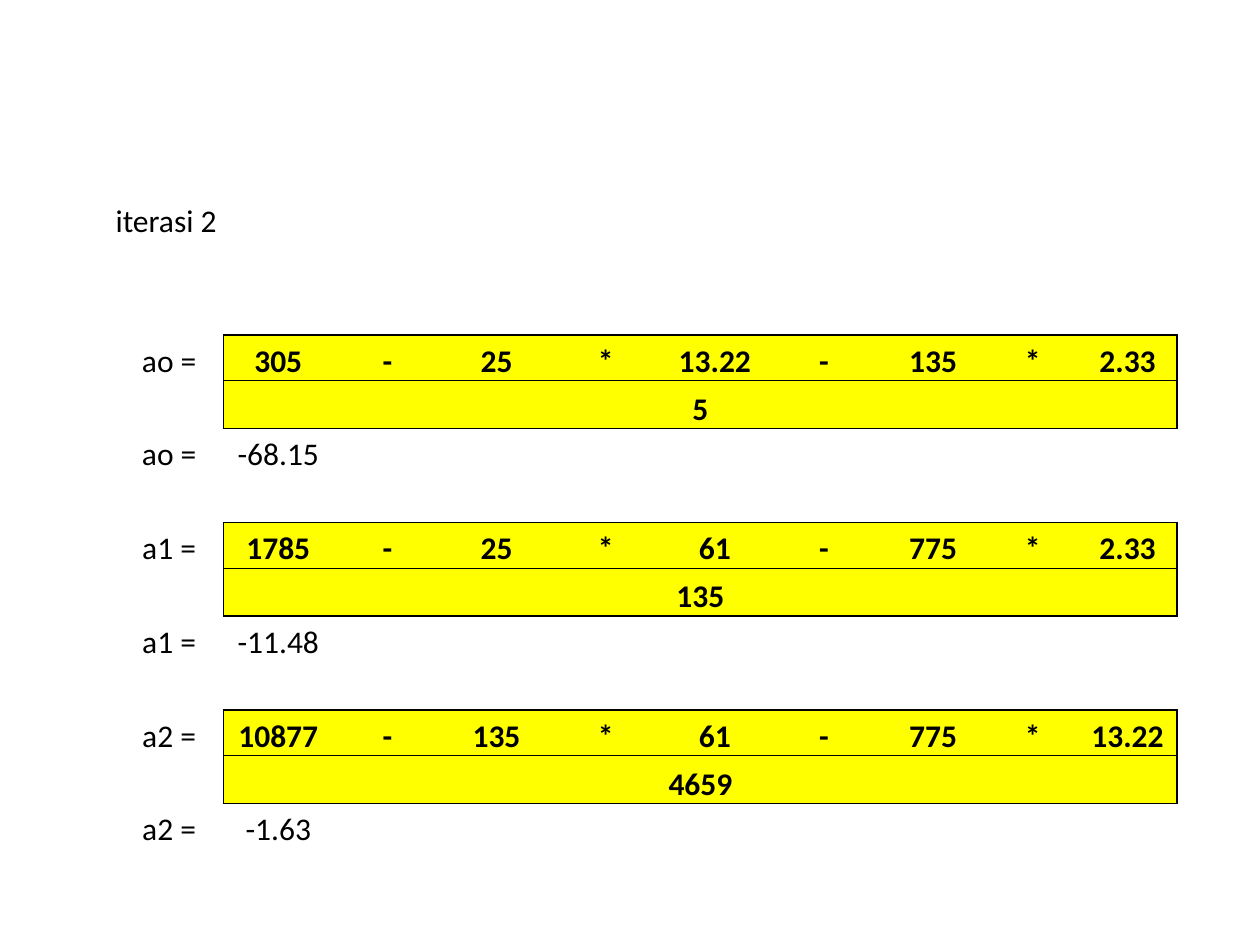
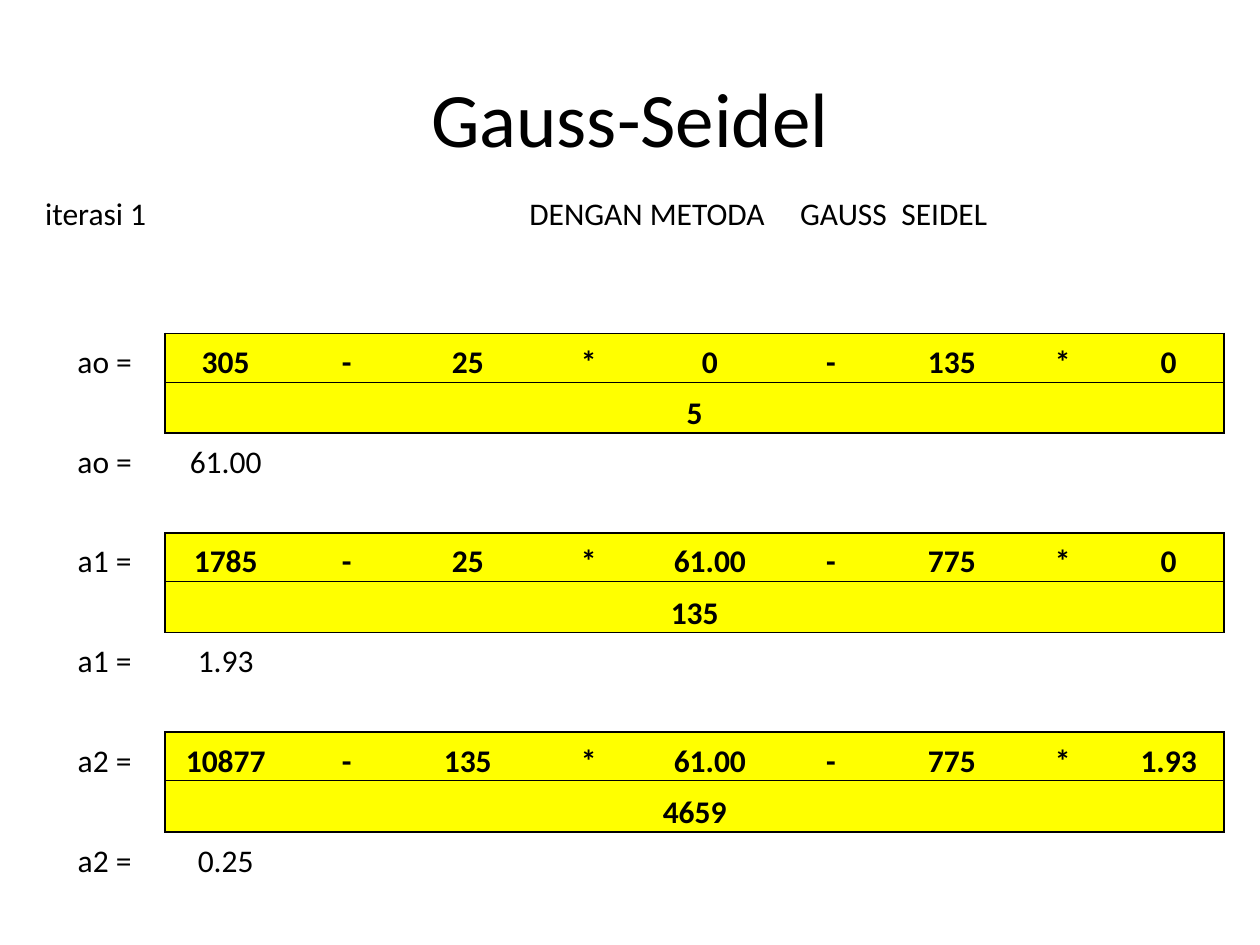
"""Build two slides with the Gauss-Seidel iteration tables."""
from lxml import etree
from pptx import Presentation
from pptx.dml.color import RGBColor
from pptx.enum.text import MSO_ANCHOR, PP_ALIGN
from pptx.oxml.ns import qn
from pptx.util import Cm, Pt

LEFT, CENTER = PP_ALIGN.LEFT, PP_ALIGN.CENTER
MIDDLE, BOTTOM = MSO_ANCHOR.MIDDLE, MSO_ANCHOR.BOTTOM
COLORS = {"ink": "000000", "formula": "FFFF00"}
FONT = "Calibri"
ROWS, COLS = 14, 10
FIRST_GROUP, GROUP_STEP = 3, 4
DIVISORS = ["5", "135", "4659"]
LABELS = ["ao =", "a1 =", "a2 ="]

ITERATIONS = [
    {
        "title": None,
        "name": "iterasi 2",
        "method": None,
        "at": (2.31, 3.94),
        "widths": [2.2] * 8 + [1.82, 2],
        "heights": (0.92, 0.97),
        "formulas": [
            "305 - 25 * 13.22 - 135 * 2.33",
            "1785 - 25 * 61 - 775 * 2.33",
            "10877 - 135 * 61 - 775 * 13.22",
        ],
        "results": ["-68.15", "-11.48", "-1.63"],
    },
    {
        "title": "Gauss-Seidel",
        "name": "iterasi 1",
        "method": "DENGAN METODA\tGAUSS\tSEIDEL",
        "at": (0.89, 3.73),
        "widths": [2.44] * 8 + [2.03, 2.24],
        "heights": (0.98, 1.03),
        "formulas": [
            "305 - 25 * 0 - 135 * 0",
            "1785 - 25 * 61.00 - 775 * 0",
            "10877 - 135 * 61.00 - 775 * 1.93",
        ],
        "results": ["61.00", "1.93", "0.25"],
    },
]


def write(tf, text, size=18, bold=False, align=CENTER, tabs=()):
    p = tf.paragraphs[0]
    p.alignment = align
    if tabs:
        tab_list = etree.SubElement(p._p.get_or_add_pPr(), qn("a:tabLst"))
        for pos in tabs:
            etree.SubElement(tab_list, qn("a:tab"), pos=str(Cm(pos)), algn="l")
    r = p.add_run()
    r.text = text
    r.font.name = FONT
    r.font.size = Pt(size)
    r.font.bold = bold
    r.font.color.rgb = RGBColor.from_string(COLORS["ink"])


def set_borders(cell, widths):
    tcPr = cell._tc.get_or_add_tcPr()
    for i, (side, width) in enumerate(zip("LRTB", widths)):
        ln = etree.Element(qn(f"a:ln{side}"), w=str(Pt(width)))
        if width:
            fill = etree.SubElement(ln, qn("a:solidFill"))
            etree.SubElement(fill, qn("a:srgbClr"), val=COLORS["ink"])
        else:
            etree.SubElement(ln, qn("a:noFill"))
        tcPr.insert(i, ln)


prs = Presentation()
prs.slide_width, prs.slide_height = Cm(25.4), Cm(19.05)

starts = [FIRST_GROUP + GROUP_STEP * i for i in range(len(LABELS))]
box_rows = {start + k for start in starts for k in (0, 1)}
rules = {start + k: width for start in starts for k, width in enumerate((1, 0.5, 1))}

for it in ITERATIONS:
    s = prs.slides.add_slide(prs.slide_layouts[5 if it["title"] else 6])
    if it["title"]:
        sp = s.shapes.title
        sp.left, sp.top, sp.width, sp.height = Cm(1.27), Cm(0.76), Cm(22.86), Cm(3.18)
        sp.text_frame.vertical_anchor = MIDDLE
        write(sp.text_frame, it["title"], size=44)

    low, high = it["heights"]
    heights = [high if i >= 2 and i % 2 == 0 else low for i in range(ROWS)]
    left, top = it["at"]
    table = s.shapes.add_table(ROWS, COLS, Cm(left), Cm(top),
                               Cm(sum(it["widths"])), Cm(sum(heights))).table
    table.first_row = table.horz_banding = False
    for col, width in zip(table.columns, it["widths"]):
        col.width = Cm(width)
    for row, height in zip(table.rows, heights):
        row.height = Cm(height)
    for start in starts:
        table.cell(start + 1, 1).merge(table.cell(start + 1, COLS - 1))
    if it["method"]:
        table.cell(0, 4).merge(table.cell(0, 7))

    for i in range(ROWS):
        for j in range(COLS):
            cell = table.cell(i, j)
            cell.vertical_anchor = BOTTOM
            cell.margin_left = cell.margin_right = cell.margin_top = Cm(0.02)
            cell.margin_bottom = 0
            in_box = i in box_rows
            if in_box and j:
                cell.fill.solid()
                cell.fill.fore_color.rgb = RGBColor.from_string(COLORS["formula"])
            else:
                cell.fill.background()
            closes_box = j in (0, COLS - 1) or cell.is_merge_origin
            set_borders(cell, (
                1 if in_box and j == 1 else 0,
                1 if in_box and closes_box else 0,
                rules.get(i, 0) if j else 0,
                rules.get(i + 1, 0) if j else 0,
            ))

    write(table.cell(0, 0).text_frame, it["name"], align=LEFT)
    if it["method"]:
        write(table.cell(0, 4).text_frame, it["method"], align=LEFT, tabs=(5.46, 7.5))
    groups = zip(starts, LABELS, it["formulas"], DIVISORS, it["results"])
    for start, label, formula, divisor, result in groups:
        write(table.cell(start, 0).text_frame, label)
        for j, term in enumerate(formula.split(), 1):
            write(table.cell(start, j).text_frame, term, bold=True)
        write(table.cell(start + 1, 1).text_frame, divisor, bold=True)
        write(table.cell(start + 2, 0).text_frame, label)
        write(table.cell(start + 2, 1).text_frame, result)

prs.save("out.pptx")
